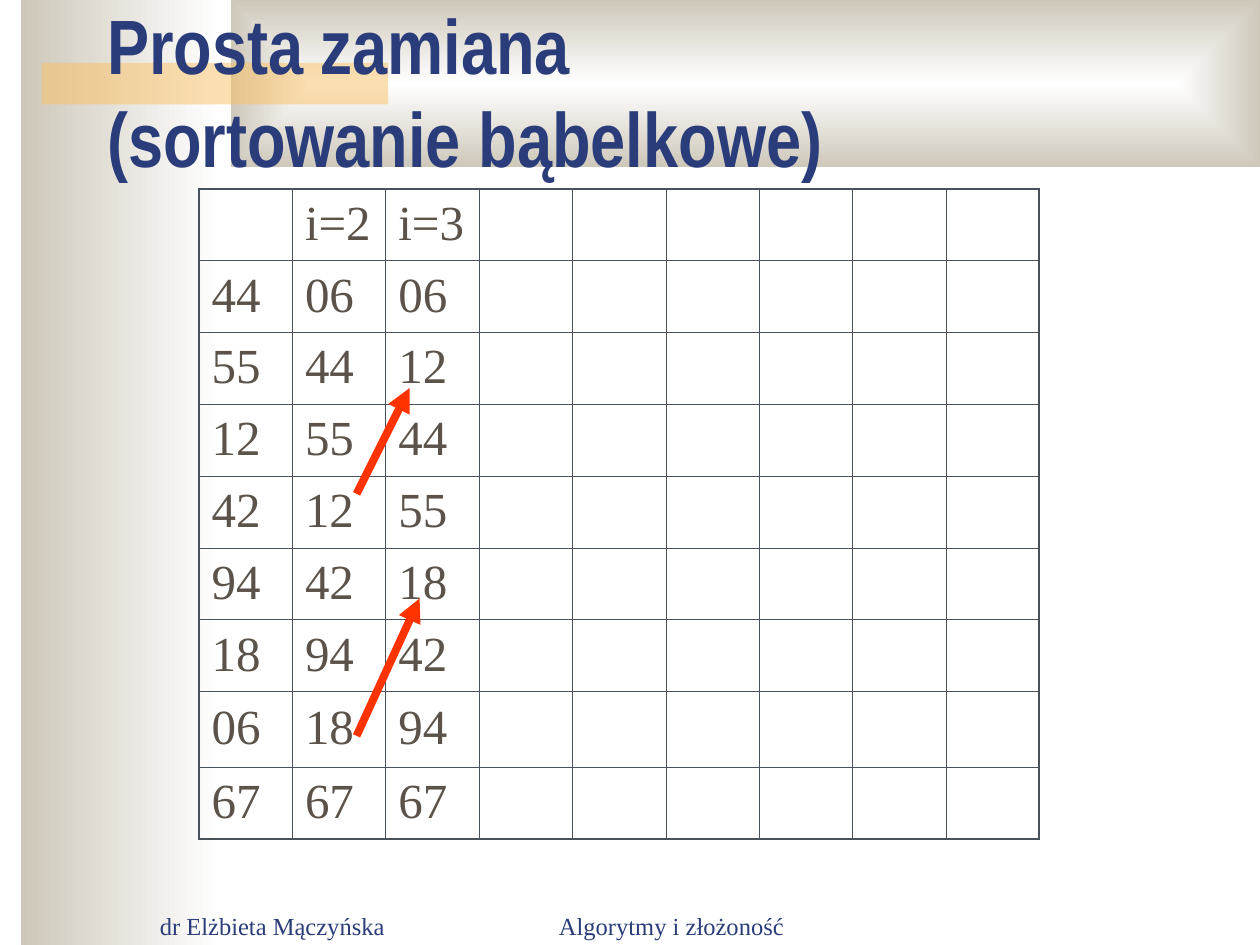
from lxml.etree import SubElement as Sub
from pptx import Presentation
from pptx.dml.color import RGBColor
from pptx.enum.shapes import MSO_CONNECTOR as Conn, MSO_SHAPE as Shape
from pptx.enum.text import MSO_ANCHOR as Anchor, PP_ALIGN as Align
from pptx.oxml import parse_xml
from pptx.oxml.ns import nsdecls, qn
from pptx.util import Inches, Pt

# Content
TITLE = "Prosta zamiana\v(sortowanie bąbelkowe)"
FOOTERS = [
    ("dr Elżbieta Mączyńska", 1.17, 2.08, Align.LEFT),
    ("Algorytmy i złożoność", 3.75, 3.16, Align.CENTER),
]
STEPS = [
    ("", "44", "55", "12", "42", "94", "18", "06", "67"),
    ("i=2", "06", "44", "55", "12", "42", "94", "18", "67"),
    ("i=3", "06", "12", "44", "55", "18", "42", "94", "67"),
]
ROWS, COLS = 9, 9
HEIGHTS = [0.57] * 7 + [0.6, 0.57]
SWAPS = [(2.83, 3.92, 3.25, 3.08), (2.83, 5.84, 3.33, 4.75)]

SERIF, SANS = "Times New Roman", "Arial Narrow"
NAVY, BROWN, GRID, RED = "2A3D7A", "5B5249", "49525B", "FF3300"
TAN, GOLD = "CEC8BA", "FAC164"
SIDE = '<a:lin ang="10800000" scaled="0"/>'
FRAME = ('<a:path path="rect"><a:fillToRect l="50000" t="50000" '
         'r="50000" b="50000"/></a:path>')


def rgb(code):
    return RGBColor.from_string(code)


def write(frame, text, size=14, font=SERIF, color=NAVY, bold=False,
          align=Align.LEFT, space=1.0):
    frame.text = text
    para = frame.paragraphs[0]
    para.alignment = align
    para.line_spacing = space
    for run in para.runs:
        run.font.size = Pt(size)
        run.font.name = font
        run.font.bold = bold
        run.font.color.rgb = rgb(color)


def block(*box):
    rect = shapes.add_shape(Shape.RECTANGLE, *map(Inches, box))
    rect.shadow.inherit = False
    rect.line.fill.background()
    return rect


def fade(rect, kind):
    rect.fill.background()
    props = rect.element.spPr
    grad = parse_xml(
        f'<a:gradFill {nsdecls("a")} rotWithShape="1"><a:gsLst>'
        f'<a:gs pos="0"><a:srgbClr val="FFFFFF"/></a:gs>'
        f'<a:gs pos="100000"><a:srgbClr val="{TAN}"/></a:gs>'
        f'</a:gsLst>{kind}</a:gradFill>')
    props.replace(props.find(qn("a:noFill")), grad)


def border(cell, row, col):
    cell.fill.background()
    outer = {"L": col == 0, "R": col == COLS - 1,
             "T": row == 0, "B": row == ROWS - 1}
    props = cell._tc.get_or_add_tcPr()
    for spot, (side, edge) in enumerate(outer.items()):
        width = Pt(1.08 if edge else 0.45)
        props.insert(spot, parse_xml(
            f'<a:ln{side} {nsdecls("a")} w="{width}"><a:solidFill>'
            f'<a:srgbClr val="{GRID}"/></a:solidFill></a:ln{side}>'))


deck = Presentation()
deck.slide_width, deck.slide_height = Inches(10), Inches(7.5)
slide = deck.slides.add_slide(deck.slide_layouts[5])
shapes = slide.shapes

# Background bands
fade(block(0.17, 0, 1.58, 7.5), SIDE)
fade(block(1.83, 0, 8.17, 1.33), FRAME)
band = block(0.33, 0.5, 2.75, 0.33)
band.fill.solid()
band.fill.fore_color.rgb = rgb(GOLD)
tint = band.element.spPr.find(qn("a:solidFill")).find(qn("a:srgbClr"))
Sub(tint, qn("a:alpha"), val="50000")

# Footers
for text, left, width, align in FOOTERS:
    frame = shapes.add_textbox(Inches(left), Inches(7.01),
                               Inches(width), Inches(0.5)).text_frame
    frame.word_wrap = True
    frame.vertical_anchor = Anchor.BOTTOM
    write(frame, text, align=align)

# Table of sorting steps
table = shapes.add_table(ROWS, COLS, Inches(1.58), Inches(1.5),
                         Inches(6.67), Inches(sum(HEIGHTS))).table
table.first_row = table.horz_banding = False
for col in table.columns:
    col.width = Inches(6.67 / COLS)
for row, height in zip(table.rows, HEIGHTS):
    row.height = Inches(height)
for r in range(ROWS):
    for c in range(COLS):
        cell = table.cell(r, c)
        border(cell, r, c)
        if c < len(STEPS) and STEPS[c][r]:
            cell.vertical_anchor = Anchor.MIDDLE
            write(cell.text_frame, STEPS[c][r], size=28, color=BROWN,
                  space=0.95)

# Swap arrows
for ends in SWAPS:
    arrow = shapes.add_connector(Conn.STRAIGHT, *map(Inches, ends))
    arrow.line.color.rgb = rgb(RED)
    arrow.line.width = Pt(4.5)
    Sub(arrow.line._get_or_add_ln(), qn("a:tailEnd"), type="triangle")
    Sub(arrow.element.spPr, qn("a:effectLst"))

# Title, in front of the bands
title = shapes.title
title.left, title.top = Inches(0.75), Inches(-0.07)
title.width, title.height = Inches(8.5), Inches(1.57)
title.text_frame.word_wrap = True
title.text_frame.vertical_anchor = Anchor.BOTTOM
write(title.text_frame, TITLE, size=44, font=SANS, bold=True)
title.element.getparent().append(title.element)

deck.save("out.pptx")
